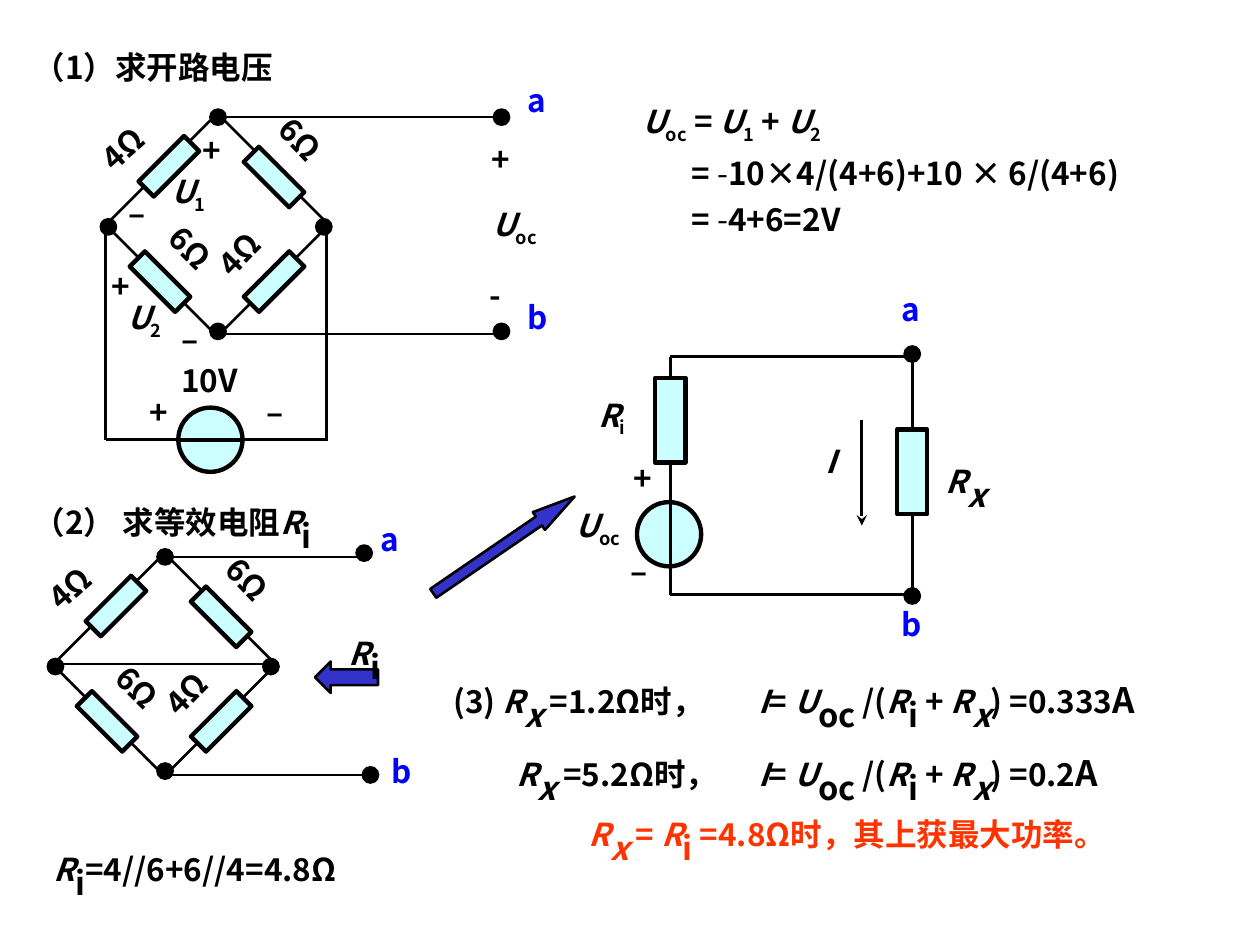
import pptx
import pptx.dml.color
import pptx.enum.shapes
import pptx.enum.text
import pptx.oxml.ns
import pptx.util
from lxml import etree

Inches, Pt = pptx.util.Inches, pptx.util.Pt
MSO_SHAPE = pptx.enum.shapes.MSO_SHAPE
LEFT, CENTER = pptx.enum.text.PP_ALIGN.LEFT, pptx.enum.text.PP_ALIGN.CENTER
TOP, MIDDLE = pptx.enum.text.MSO_ANCHOR.TOP, pptx.enum.text.MSO_ANCHOR.MIDDLE
FONT = "Noto Sans CJK SC"
COLORS = {"ink": "000000", "terminal": "0000FF", "result": "FF3300",
          "part": "CCFFFF", "arrow": "3333CC"}

# Run styles: i italic, s subscript, S large subscript, n not bold, L slightly larger
U, R, I = ("U", "i"), ("R", "i"), ("I", "i")
OC, SMALL_I, BIG_I, BIG_X = ("oc", "s"), ("i", "s"), ("i", "S"), ("x", "iS")


def current(value):
    return [I, "= ", U, ("oc", "S"), " /(", R, BIG_I, " + ", R, BIG_X,
            f") ={value}", ("A", "L")]


EQUATIONS = [
    [U, OC, " = ", U, ("1", "s"), " + ", U, ("2", "s")],
    ["= ", ("-", "n"), "10×4/(4+6)+10 × 6/(4+6)"],
    ["= ", ("-", "n"), "4+6=2V"],
]
# (left, top, width), runs
STATEMENTS = [
    ((0.17, 0.33, 2.83), ["（1）求开路电压"]),
    ((0.17, 3.75, 3.25), ["（2） 求等效电阻", R, BIG_I]),
    ((0.33, 6.5, 3.25), [R, BIG_I, "=4//6+6//4=4.8Ω"]),
    ((3.5, 5.17, 2.92), ["(3) ", R, BIG_X, (" ", "i"), "=1.2Ω时，"]),
    ((5.92, 5.17, 3.83), current("0.333")),
    ((4, 5.75, 2.25), [R, BIG_X, " =5.2Ω时，"]),
    ((5.92, 5.75, 3.67), current("0.2")),
]
RESULT = [R, BIG_X, (" ", "i"), "= ", R, BIG_I, " =4.8Ω时，其上获最大功率。"]
LABELS = [
    ((1.09, 3.07, 0.37), ["+"]), ((2.02, 3.07, 0.45), ["–"]),
    ((1.34, 2.82, 1.01), ["10V"]),
    ((1.34, 2.49, 0.3), ["–"]), ((0.79, 2.07, 0.3), ["+"]),
    ((0.91, 2.32, 0.59), [U, ("2", "s")]),
    ((1.51, 0.99, 0.3), ["+"]), ((0.92, 1.49, 0.3), ["–"]),
    ((1.26, 1.32, 0.6), [U, ("1", "s")]),
    ((6.45, 3.46, 0.6), [I]), ((4.47, 3.97, 0.91), [U, OC]),
    ((4.93, 3.59, 0.48), ["+"]), ((4.91, 4.33, 0.6), ["–"]),
    ((7.41, 3.42, 0.84), [R, BIG_X]), ((4.65, 3.09, 0.84), [R, SMALL_I]),
    ((2.67, 4.79, 0.58), [R, BIG_I]),
]
CENTERED_LABELS = [
    ((3.78, 1.01, 0.39), ["+"]), ((3.75, 2.09, 0.36), ["-"]),
    ((3.76, 1.55, 0.65), [U, OC]),
]
TERMINAL_LABELS = [
    ((4.09, 0.59, 0.37), ["a"]), ((4.09, 2.32, 0.37), ["b"]),
    ((7.06, 2.25, 0.6), ["a"]), ((7.06, 4.75, 0.6), ["b"]),
    ((2.92, 4.08, 0.37), ["a"]), ((3.01, 5.92, 0.37), ["b"]),
]
SOURCE_CENTERS = [(1.67, 3.49), (5.31, 4.24)]
# x1, y1, x2, y2
WIRES = [
    (0.84, 1.79, 0.84, 3.49), (2.59, 1.8, 2.59, 3.5), (0.84, 3.49, 2.59, 3.49),
    (1.67, 2.65, 4.01, 2.65), (1.76, 0.93, 4.01, 0.93),
    (5.32, 2.83, 5.32, 4.72), (5.32, 2.83, 7.24, 2.83),
    (5.32, 4.72, 7.24, 4.72), (7.24, 2.84, 7.24, 4.72),
    (0.44, 5.27, 2.12, 5.27), (1.33, 4.42, 2.92, 4.42), (1.31, 6.15, 2.9, 6.15),
]
TERMINALS = [(3.98, 0.93), (3.98, 2.63), (7.24, 2.81), (7.24, 4.73),
             (2.89, 4.39), (2.94, 6.15)]
UPRIGHT_RESISTORS = [(5.32, 3.335), (7.24, 3.745)]
BRIDGE_CORNERS = [(0.84, 0.9), (0.42, 4.39)]
BRIDGE_SIZE = 1.77
# Offsets from the bridge corner to centers
BRIDGE_RESISTORS = [(1.335, 1.335, 45), (0.5, 0.42, 45),
                    (0.43, 1.335, 315), (1.335, 0.505, 315)]
BRIDGE_NODES = [(0.89, 0.03), (1.73, 0.9), (0.02, 0.9), (0.89, 1.73)]
BRIDGE_VALUES = [("4Ω", 1.16, 1.08, 314.8), ("6Ω", 1.58, 0.31, 46.4),
                 ("6Ω", 0.71, 1.17, 44.9), ("4Ω", 0.24, 0.25, 318.6)]

presentation = pptx.Presentation()
presentation.slide_width, presentation.slide_height = Inches(10), Inches(7.5)
slide = presentation.slides.add_slide(presentation.slide_layouts[6])


def rgb(name):
    return pptx.dml.color.RGBColor.from_string(COLORS[name])


def add_text(box, *lines, height=0.5, color="ink", align=LEFT, anchor=TOP,
             rotation=0, space_before=0, hanging=0):
    """Write each list of runs as a paragraph; hanging indents all but the first."""
    left, top, width = box
    shape = slide.shapes.add_textbox(*map(Inches, (left, top, width, height)))
    shape.rotation = rotation
    frame = shape.text_frame
    frame.word_wrap, frame.vertical_anchor = True, anchor
    for index, runs in enumerate(lines):
        paragraph = frame.add_paragraph() if index else frame.paragraphs[0]
        paragraph.alignment = align
        if index:
            paragraph.space_before = Pt(space_before)
            paragraph._p.get_or_add_pPr().set("marL", str(Inches(hanging)))
        for item in runs:
            text, style = (item, "") if isinstance(item, str) else item
            run = paragraph.add_run()
            run.text = text
            font = run.font
            font.name, font.bold, font.italic = FONT, "n" not in style, "i" in style
            font.size = Pt(32 if "S" in style else 20 if "L" in style else 18)
            font.color.rgb = rgb(color)
            properties = run._r.get_or_add_rPr()
            if "s" in style.lower():
                properties.set("baseline", "-25000")
            east_asian = etree.SubElement(properties, pptx.oxml.ns.qn("a:ea"))
            east_asian.set("typeface", FONT)


def add_part(kind, center_x, center_y, width, height, fill="part", line=2.5, rotation=0):
    shape = slide.shapes.add_shape(kind, Inches(center_x - width / 2),
                                   Inches(center_y - height / 2), Inches(width), Inches(height))
    shape.shadow.inherit = False
    shape.rotation = rotation
    if fill:
        shape.fill.solid()
        shape.fill.fore_color.rgb = rgb(fill)
    else:
        shape.fill.background()
    shape.line.color.rgb, shape.line.width = rgb("ink"), Pt(line)
    return shape


def add_dot(x, y):
    add_part(MSO_SHAPE.OVAL, x, y, 0.12, 0.12, fill="ink", line=1.5)


def add_wire(ends, width=1.5, arrow=False):
    connector = slide.shapes.add_connector(
        pptx.enum.shapes.MSO_CONNECTOR.STRAIGHT, *map(Inches, ends))
    connector.line.color.rgb, connector.line.width = rgb("ink"), Pt(width)
    if arrow:
        line = connector.line._get_or_add_ln()
        etree.SubElement(line, pptx.oxml.ns.qn("a:tailEnd")).set("type", "stealth")
    etree.SubElement(connector._element.spPr, pptx.oxml.ns.qn("a:effectLst"))


def add_bridge(left, top):
    half = BRIDGE_SIZE / 2
    add_part(MSO_SHAPE.DIAMOND, left + half, top + half, BRIDGE_SIZE, BRIDGE_SIZE,
             fill=None, line=1.5)
    for x, y, rotation in BRIDGE_RESISTORS:
        add_part(MSO_SHAPE.RECTANGLE, left + x, top + y, 0.17, 0.51, rotation=rotation)
    for x, y in BRIDGE_NODES:
        add_dot(left + x, top + y)
    for value, x, y, rotation in BRIDGE_VALUES:
        add_text((left + x - 0.37, top + y - 0.25, 0.74), [value], rotation=rotation)


for x, y in SOURCE_CENTERS:
    add_part(MSO_SHAPE.OVAL, x, y, 0.51, 0.51)
for ends in WIRES:
    add_wire(ends)
add_wire((1.42, 3.49, 1.92, 3.49), width=2.5)
add_wire((6.84, 3.33, 6.84, 4.17), arrow=True)
for x, y in UPRIGHT_RESISTORS:
    add_part(MSO_SHAPE.RECTANGLE, x, y, 0.24, 0.67)
for corner in BRIDGE_CORNERS:
    add_bridge(*corner)
for terminal in TERMINALS:
    add_dot(*terminal)

add_part(MSO_SHAPE.LEFT_ARROW, 2.75, 5.375, 0.5, 0.25, fill="arrow", line=1.5)
long_arrow = add_part(MSO_SHAPE.RIGHT_ARROW, 4, 4.325, 1.36, 0.17, fill="arrow",
                      line=1.5, rotation=325.6)
long_arrow.adjustments[1] = 2.02

add_text((5, 0.5, 4.78), *EQUATIONS, height=1.7, anchor=MIDDLE, space_before=5, hanging=0.39)
for box, runs in STATEMENTS + LABELS:
    add_text(box, runs)
for box, runs in CENTERED_LABELS:
    add_text(box, runs, align=CENTER, anchor=MIDDLE)
for box, runs in TERMINAL_LABELS:
    add_text(box, runs, color="terminal")
add_text((3.95, 6.33, 5.55), RESULT, color="result", align=CENTER, anchor=MIDDLE)

presentation.save("out.pptx")
